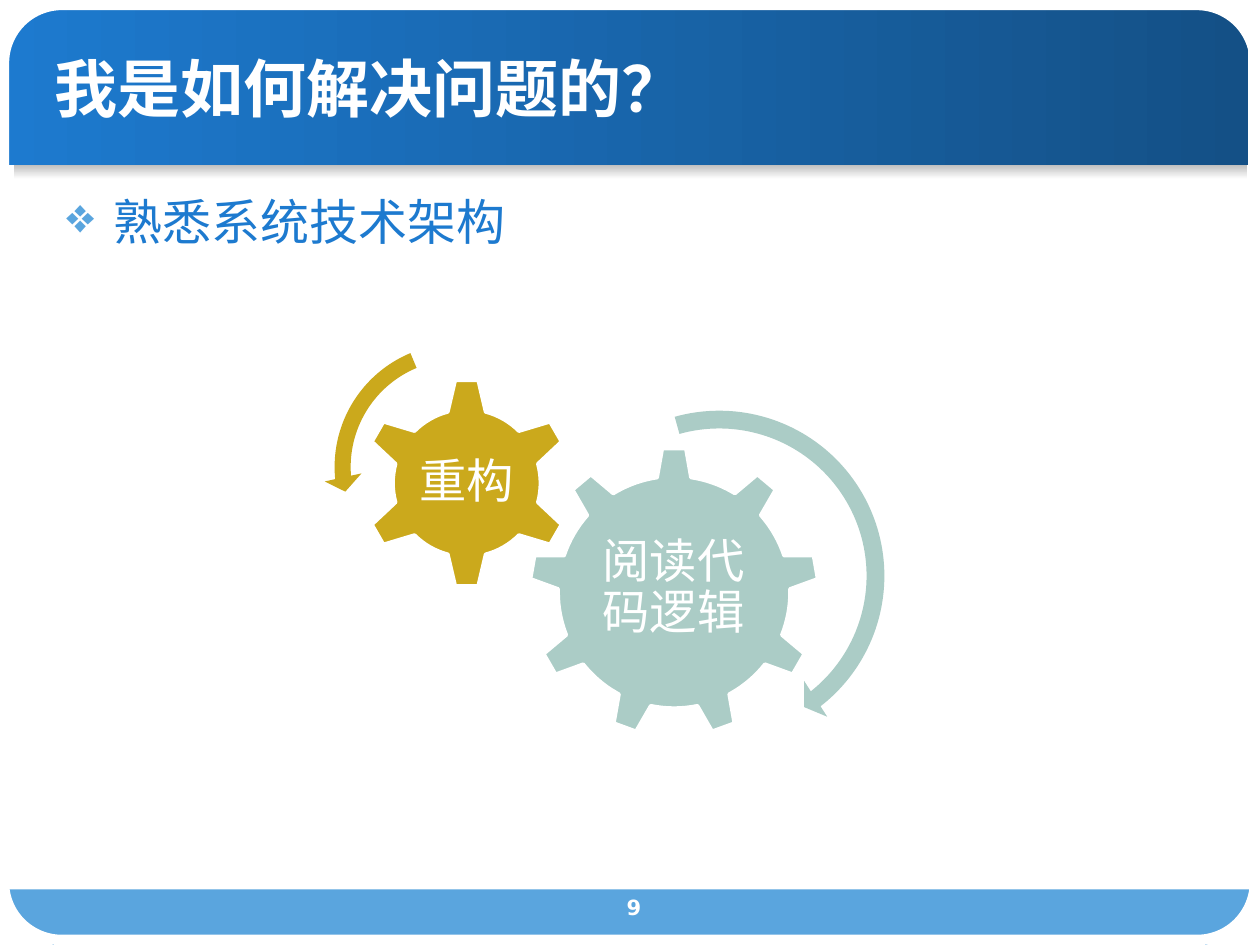
from lxml import etree
from pptx import Presentation, util as u
from pptx.dml.color import RGBColor
from pptx.enum import shapes, text
from pptx.oxml.ns import qn

WHITE = RGBColor(0xFF, 0xFF, 0xFF)
BRIGHT_BLUE = RGBColor(0x1D, 0x7A, 0xCF)
DARK_BLUE = RGBColor(0x14, 0x50, 0x86)
LIGHT_BLUE = RGBColor(0x5A, 0xA5, 0xDE)
SHADE_GREY = RGBColor(0xC0, 0xC0, 0xC0)
SAGE = RGBColor(0xAB, 0xCC, 0xC6)
GOLD = RGBColor(0xCB, 0xA9, 0x1C)

CJK_FONT = "Noto Sans CJK SC"
LATIN_FONT = "DejaVu Sans"
PRESET = shapes.MSO_SHAPE


def add_preset(slide, kind, box, fill=None, line=None, adjustments=()):
    """Preset shape; box is in cm, line is a width in points (always white)."""
    shape = slide.shapes.add_shape(kind, *map(u.Cm, box))
    shape.shadow.inherit = False
    if fill is None:
        shape.fill.background()
    else:
        shape.fill.solid()
        shape.fill.fore_color.rgb = fill
    if line is None:
        shape.line.fill.background()
    else:
        shape.line.color.rgb = WHITE
        shape.line.width = u.Pt(line)
    for index, value in enumerate(adjustments):
        shape.adjustments[index] = value
    return shape


def add_gradient(slide, box, colors, angle):
    fill = add_preset(slide, PRESET.RECTANGLE, box).fill
    fill.gradient()
    fill.gradient_angle = angle
    for stop, color in zip(fill.gradient_stops, colors):
        stop.color.rgb = color


def add_corner(slide, points):
    """White patch that rounds off one corner of the slide."""
    vertices = [(u.Cm(x), u.Cm(y)) for x, y in points]
    builder = slide.shapes.build_freeform(*vertices[0])
    builder.add_line_segments(vertices[1:], close=True)
    shape = builder.convert_to_shape()
    shape.shadow.inherit = False
    shape.fill.solid()
    shape.fill.fore_color.rgb = WHITE
    shape.line.fill.background()


def add_label(slide, box, words, font, paragraph_format=None, frame_format=None,
              bullet=None):
    frame = slide.shapes.add_textbox(*map(u.Cm, box)).text_frame
    frame.word_wrap = True
    for name, value in (frame_format or {}).items():
        setattr(frame, name, value)
    paragraph = frame.paragraphs[0]
    for name, value in (paragraph_format or {}).items():
        setattr(paragraph, name, value)
    if bullet:
        add_bullet(paragraph, *bullet)
    run = paragraph.add_run()
    run.text = words
    color = font.get("color", WHITE)
    for name, value in font.items():
        if name != "color":
            setattr(run.font, name, value)
    run.font.color.rgb = color
    east_asian = etree.SubElement(run.font._element, qn("a:ea"))
    east_asian.set("typeface", CJK_FONT)


def add_bullet(paragraph, symbol, color, indent):
    properties = paragraph._p.get_or_add_pPr()
    properties.set("marL", str(indent))
    properties.set("indent", str(-indent))
    bullet_color = etree.SubElement(properties, qn("a:buClr"))
    etree.SubElement(bullet_color, qn("a:srgbClr")).set("val", str(color))
    etree.SubElement(properties, qn("a:buChar")).set("char", symbol)


def add_gear(slide, kind, box, color, label_box, words):
    add_preset(slide, kind, box, color, line=2)
    margins = dict.fromkeys(
        ("margin_left", "margin_top", "margin_right", "margin_bottom"), u.Cm(0.1))
    add_label(slide, label_box, words,
              {"size": u.Pt(27), "name": LATIN_FONT},
              {"alignment": text.PP_ALIGN.CENTER, "line_spacing": 0.9},
              {"vertical_anchor": text.MSO_ANCHOR.MIDDLE, **margins})


def add_background(slide):
    # Title band, footer band and the soft edge below the title
    add_gradient(slide, (0, 0.03, 25.17, 3.3), (BRIGHT_BLUE, DARK_BLUE), 0)
    add_preset(slide, PRESET.RECTANGLE, (0, 17.93, 25.35, 1.12), LIGHT_BLUE)
    add_gradient(slide, (0.28, 3.33, 24.87, 0.28), (SHADE_GREY, WHITE), 270)

    # Rounded white frame and corner patches
    add_preset(slide, PRESET.ROUNDED_RECTANGLE, (0.08, 0.1, 25.22, 18.85),
               line=6, adjustments=(0.062,))
    corners = (
        ((0, 1.24), (0.33, 0.64), (0.69, 0.15), (1.22, 0), (0, 0)),
        ((1.07, 19.05), (0.51, 18.62), (0.1, 18.21), (0, 17.58), (0, 19.05)),
        ((25.4, 17.75), (25.1, 18.39), (24.77, 18.87), (24.31, 19.05), (25.4, 19.05)),
        ((24.13, 0), (24.77, 0.36), (25.25, 0.74), (25.4, 1.27), (25.4, 0)),
    )
    for points in corners:
        add_corner(slide, points)


def add_gears(slide):
    add_gear(slide, PRESET.GEAR_9, (10.67, 9.02, 5.84, 5.84), SAGE,
             (11.84, 10.36, 3.48, 3), "阅读代码逻辑")
    add_gear(slide, PRESET.GEAR_6, (7.29, 7.62, 4.24, 4.24), GOLD,
             (8.36, 8.71, 2.11, 2.08), "重构")

    # Arrows showing the turning direction
    add_preset(slide, PRESET.CIRCULAR_ARROW, (10.92, 8.03, 7.16, 7.16), SAGE,
               adjustments=(0.05, 3.13, 31.13, 152.62, 0.06))
    add_preset(slide, PRESET.LEFT_CIRCULAR_ARROW, (6.53, 6.71, 5.41, 5.41), GOLD,
               adjustments=(0.06, 4.3, 104.89, 148.38, 0.07))


def main():
    presentation = Presentation()
    presentation.slide_width = u.Cm(25.4)
    presentation.slide_height = u.Cm(19.05)
    slide = presentation.slides.add_slide(presentation.slide_layouts[6])

    add_background(slide)

    # Title, bullet and page number
    add_label(slide, (0.84, 0.97, 23.06, 1.57), "我是如何解决问题的？",
              {"size": u.Pt(36), "name": CJK_FONT, "bold": True},
              frame_format={"vertical_anchor": text.MSO_ANCHOR.MIDDLE})
    add_label(slide, (1.09, 3.73, 21.41, 1.57), "熟悉系统技术架构",
              {"size": u.Pt(28), "name": LATIN_FONT, "color": BRIGHT_BLUE},
              bullet=("❖", LIGHT_BLUE, u.Cm(0.95)))
    add_label(slide, (11.51, 17.91, 2.54, 0.89), "9",
              {"size": u.Pt(12), "name": LATIN_FONT, "bold": True},
              {"alignment": text.PP_ALIGN.CENTER})

    add_gears(slide)
    presentation.save("out.pptx")


if __name__ == "__main__":
    main()
